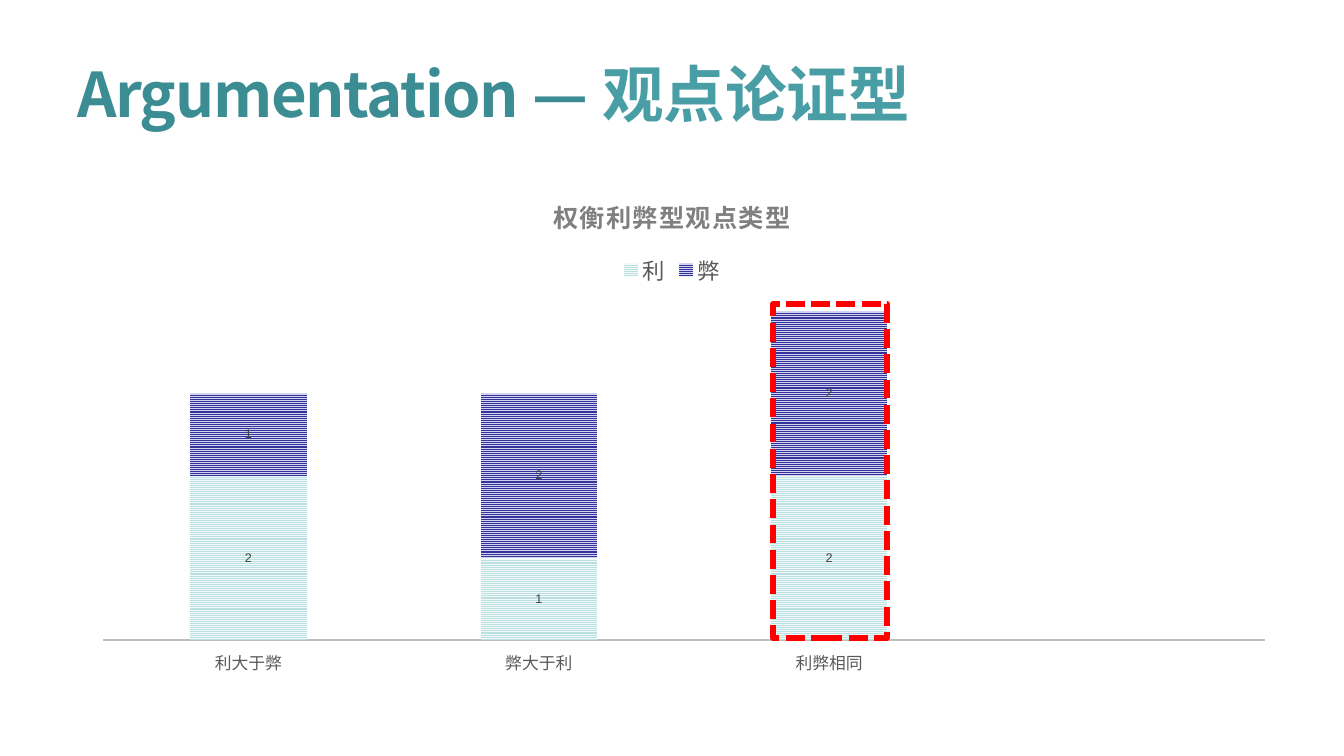
"""Build the slide on argument types with a stacked column chart."""
from dataclasses import dataclass

from lxml import etree
from pptx import Presentation
from pptx.chart.data import CategoryChartData
from pptx.dml.color import RGBColor
from pptx.enum.chart import XL_CHART_TYPE, XL_LABEL_POSITION, XL_LEGEND_POSITION, XL_TICK_LABEL_POSITION, XL_TICK_MARK
from pptx.enum.dml import MSO_LINE, MSO_PATTERN
from pptx.enum.shapes import MSO_SHAPE
from pptx.enum.text import MSO_ANCHOR, PP_ALIGN
from pptx.oxml.ns import qn
from pptx.util import Pt

STACKED = XL_CHART_TYPE.COLUMN_STACKED
CENTER = XL_LABEL_POSITION.CENTER
TOP = XL_LEGEND_POSITION.TOP
LOW = XL_TICK_LABEL_POSITION.LOW
NO_TICK = XL_TICK_MARK.NONE
STRIPES = MSO_PATTERN.NARROW_HORIZONTAL
DASH = MSO_LINE.SQUARE_DOT
RECTANGLE = MSO_SHAPE.RECTANGLE
MIDDLE = MSO_ANCHOR.MIDDLE
LEFT = PP_ALIGN.LEFT


@dataclass(frozen=True)
class Theme:
    heading_font: str = "Noto Sans CJK SC"
    chart_font: str = "Arial"
    heading_dark: str = "3C8C93"
    heading_light: str = "499DA4"
    chart_title: str = "808080"
    chart_text: str = "595959"
    value_text: str = "404040"
    axis: str = "BFBFBF"
    black: str = "000000"
    highlight: str = "FF0000"
    heading_size: int = 44
    chart_title_size: int = 18
    legend_size: int = 16
    category_size: int = 12
    chart_size: int = 10
    value_size: int = 9


THEME = Theme()
PX = 914400 / 100.8
SLIDE_SIZE = (1344, 756)
HEADING_BOX = (67, 30, 1210, 126)
CHART_BOX = (67, 176, 1210, 499)
HIGHLIGHT_BOX = (773, 304, 114, 334)
PLOT_LAYOUT = {"x": 0.03, "y": 0.19, "w": 0.96, "h": 0.75}

HEADING = [
    ("Argumentation ", THEME.heading_dark, -100),
    ("— ", THEME.heading_dark, 0),
    ("观点论证型", THEME.heading_light, 0),
]
CHART_TITLE = "权衡利弊型观点类型"
CATEGORIES = ["利大于弊", "弊大于利", "利弊相同", ""]
SERIES = [
    ("利", (2, 1, 2, None), "BBE0E3", "F1F9F9"),
    ("弊", (1, 2, 2, None), "333399", "D1D1F0"),
]


def px(lengths):
    return [round(length * PX) for length in lengths]


def color(code):
    return RGBColor.from_string(code)


def style(font, name, size, code, bold=False):
    font.name, font.size, font.bold = name, Pt(size), bold
    font.color.rgb = color(code)


def add_heading(page):
    title = page.shapes.title
    title.left, title.top, title.width, title.height = px(HEADING_BOX)
    title.text_frame.vertical_anchor = MIDDLE
    para = title.text_frame.paragraphs[0]
    para.alignment = LEFT
    for text, code, spacing in HEADING:
        span = para.add_run()
        span.text = text
        style(span.font, THEME.heading_font, THEME.heading_size, code, True)
        properties = span._r.get_or_add_rPr()
        properties.set("spc", str(spacing))
        etree.SubElement(properties, qn("a:ea"), typeface=THEME.heading_font)


def place_plot(chart):
    area = chart._chartSpace.chart.plotArea
    for old in area.findall(qn("c:layout")):
        area.remove(old)
    layout = etree.Element(qn("c:layout"))
    area.insert(0, layout)
    manual = etree.SubElement(layout, qn("c:manualLayout"))
    settings = {"layoutTarget": "inner", "xMode": "edge", "yMode": "edge", **PLOT_LAYOUT}
    for tag, value in settings.items():
        etree.SubElement(manual, qn(f"c:{tag}"), val=str(value))


def style_axes(chart):
    categories, values = chart.category_axis, chart.value_axis
    categories.major_tick_mark = categories.minor_tick_mark = NO_TICK
    categories.tick_label_position = LOW
    categories.format.line.color.rgb = color(THEME.axis)
    categories.format.line.width = Pt(1.5)
    style(categories.tick_labels.font, THEME.chart_font, THEME.category_size, THEME.chart_text)
    values.minimum_scale, values.maximum_scale = 0, 4.5
    values.has_major_gridlines = False
    values.visible = False


def add_chart(page):
    data = CategoryChartData()
    data.categories = CATEGORIES
    for name, values, *_ in SERIES:
        data.add_series(name, values)
    chart = page.shapes.add_chart(STACKED, *px(CHART_BOX), data).chart
    style(chart.font, THEME.chart_font, THEME.chart_size, THEME.black)
    chart.has_title = True
    para = chart.chart_title.text_frame.paragraphs[0]
    span = para.add_run()
    span.text = CHART_TITLE
    style(span.font, THEME.chart_font, THEME.chart_title_size, THEME.chart_title, True)
    span._r.get_or_add_rPr().set("spc", "100")
    chart.has_legend = True
    chart.legend.position = TOP
    chart.legend.include_in_layout = False
    style(chart.legend.font, THEME.chart_font, THEME.legend_size, THEME.chart_text)
    plot = chart.plots[0]
    plot.gap_width, plot.overlap = 150, 100
    plot.vary_by_categories = False
    for series, (*_, front, back) in zip(plot.series, SERIES):
        fill = series.format.fill
        fill.patterned()
        fill.pattern = STRIPES
        fill.fore_color.rgb, fill.back_color.rgb = color(front), color(back)
        labels = series.data_labels
        labels.show_value = True
        labels.position = CENTER
        style(labels.font, THEME.chart_font, THEME.value_size, THEME.value_text)
    style_axes(chart)
    place_plot(chart)


def add_highlight(page):
    frame = page.shapes.add_shape(RECTANGLE, *px(HIGHLIGHT_BOX))
    frame.shadow.inherit = False
    frame.fill.background()
    frame.line.color.rgb = color(THEME.highlight)
    frame.line.width = Pt(4.5)
    frame.line.dash_style = DASH


def main():
    deck = Presentation()
    deck.slide_width, deck.slide_height = px(SLIDE_SIZE)
    page = deck.slides.add_slide(deck.slide_layouts[5])
    add_heading(page)
    add_chart(page)
    add_highlight(page)
    deck.save("out.pptx")


if __name__ == "__main__":
    main()
